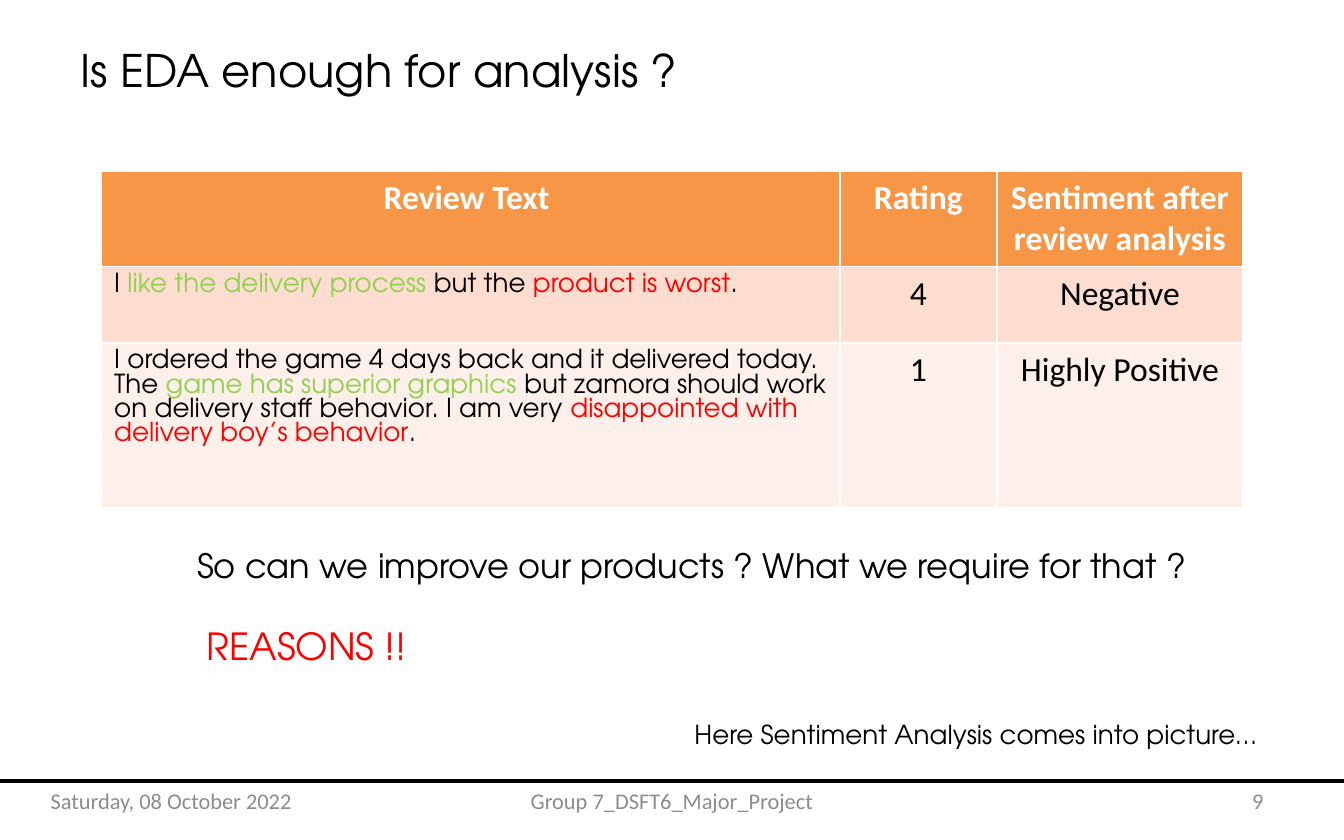
"""Build the slide asking whether EDA alone is enough for review analysis."""
from dataclasses import dataclass
from typing import Optional

from pptx import Presentation
from pptx.dml.color import RGBColor
from pptx.enum import shapes, text
from pptx.util import Pt

LEFT, CENTER, RIGHT = text.PP_ALIGN.LEFT, text.PP_ALIGN.CENTER, text.PP_ALIGN.RIGHT


@dataclass(frozen=True)
class Theme:
    display: str = "TeX Gyre Adventor"
    plain: str = "Calibri"
    black: str = "000000"
    white: str = "FFFFFF"
    grey: str = "8C8C8C"
    praise: str = "92D050"
    complaint: str = "FF0000"
    header_fill: str = "F79646"
    row_fills: tuple = ("FCDDCF", "FDEFE9")
    title: float = 24
    reasons: float = 20
    large: float = 18
    review: float = 14
    footer: float = 12
    review_leading: float = 13


THEME = Theme()


@dataclass(frozen=True)
class Style:
    size: float
    font: str = THEME.display
    color: str = THEME.black
    align: Optional[text.PP_ALIGN] = LEFT
    bold: bool = False


@dataclass(frozen=True)
class Span:
    text: str
    color: str = THEME.black


@dataclass(frozen=True)
class Label:
    text: str
    left: float
    top: float
    width: float
    height: float
    style: Style


@dataclass(frozen=True)
class Review:
    spans: tuple
    rating: str
    sentiment: str
    align: text.PP_ALIGN


TITLE = Label("Is EDA enough for analysis ?", 36, 5, 653, 65, Style(THEME.title))
FOOTER = {"size": THEME.footer, "font": THEME.plain, "color": THEME.grey}
LABELS = (
    Label("So can we improve our products ? What we require for that ?",
          98.6, 270, 653, 65, Style(THEME.large)),
    Label("Here Sentiment Analysis comes into picture…",
          365, 360.7, 653, 65, Style(THEME.review)),
    Label("REASONS !!", 103.7, 313.2, 653, 65, Style(THEME.reasons, color=THEME.complaint)),
    Label("Saturday, 08 October 2022", 20, 417, 184, 24, Style(**FOOTER)),
    Label("Group 7_DSFT6_Major_Project", 246, 417, 228, 24, Style(**FOOTER, align=CENTER)),
    Label("9", 516, 417, 168, 24, Style(**FOOTER, align=RIGHT)),
)
HEADINGS = ("Review Text ", "Rating", "Sentiment after review analysis ")
REVIEWS = (
    Review((Span("I "), Span("like the delivery process ", THEME.praise), Span("but the "),
            Span("product is worst", THEME.complaint), Span(". ")),
           "4", "Negative", text.PP_ALIGN.JUSTIFY),
    Review((Span("I ordered the game 4 days back and it delivered today. The "),
            Span("game has superior graphics", THEME.praise),
            Span(" but zamora should work on delivery staff behavior. I am very "),
            Span("disappointed with delivery boy’s behavior", THEME.complaint), Span(".")),
           "1", "Highly Positive", LEFT),
)
COLUMN_WIDTHS = (396, 84, 132)
ROW_HEIGHTS = (51, 41, 88.5)


def format_run(run, style: Style, color: str) -> None:
    """Apply a text style and colour to one run."""
    run.font.name = style.font
    run.font.size = Pt(style.size)
    run.font.bold = style.bold
    run.font.color.rgb = RGBColor.from_string(color)


def write(frame, content: str, style: Style) -> None:
    """Fill a text frame with one uniformly styled paragraph."""
    frame.text = content
    para = frame.paragraphs[0]
    para.alignment = style.align
    format_run(para.runs[0], style, style.color)


def place_label(box, label: Label) -> None:
    """Position a text shape and fill it."""
    box.left, box.top = Pt(label.left), Pt(label.top)
    box.width, box.height = Pt(label.width), Pt(label.height)
    frame = box.text_frame
    frame.word_wrap = True
    frame.auto_size = text.MSO_AUTO_SIZE.NONE
    frame.vertical_anchor = text.MSO_ANCHOR.MIDDLE
    write(frame, label.text, label.style)


def write_review(frame, review: Review) -> None:
    """Write a review with its praise and complaints coloured."""
    style = Style(THEME.review)
    para = frame.paragraphs[0]
    para.alignment = review.align
    para.line_spacing = Pt(THEME.review_leading)
    for span in review.spans:
        run = para.add_run()
        run.text = span.text
        format_run(run, style, span.color)


def add_review_table(page) -> None:
    """Add the table of reviews, ratings and sentiments."""
    table = page.shapes.add_table(
        len(ROW_HEIGHTS), len(COLUMN_WIDTHS), Pt(54), Pt(91.5),
        Pt(sum(COLUMN_WIDTHS)), Pt(sum(ROW_HEIGHTS))).table
    for column, width in zip(table.columns, COLUMN_WIDTHS):
        column.width = Pt(width)
    fills = (THEME.header_fill, *THEME.row_fills)
    for row, height, fill in zip(table.rows, ROW_HEIGHTS, fills):
        row.height = Pt(height)
        for cell in row.cells:
            cell.fill.solid()
            cell.fill.fore_color.rgb = RGBColor.from_string(fill)
    heading = Style(THEME.large, THEME.plain, THEME.white, CENTER, True)
    value = Style(THEME.large, THEME.plain, align=CENTER)
    for column, content in enumerate(HEADINGS):
        write(table.cell(0, column).text_frame, content, heading)
    for row, review in enumerate(REVIEWS, start=1):
        write_review(table.cell(row, 0).text_frame, review)
        write(table.cell(row, 1).text_frame, review.rating, value)
        write(table.cell(row, 2).text_frame, review.sentiment, value)


def add_footer_frame(page) -> None:
    """Add the outlined footer band that bleeds past the slide edges."""
    band = page.shapes.add_shape(
        shapes.MSO_SHAPE.RECTANGLE, Pt(-31), Pt(418.3), Pt(793.4), Pt(57))
    band.shadow.inherit = False
    band.fill.background()
    band.line.color.rgb = RGBColor.from_string(THEME.black)
    band.line.width = Pt(2)


def main() -> None:
    """Build and save the deck."""
    deck = Presentation()
    deck.slide_width, deck.slide_height = Pt(720), Pt(450)
    page = deck.slides.add_slide(deck.slide_layouts[5])
    add_footer_frame(page)
    place_label(page.shapes.title, TITLE)
    add_review_table(page)
    for label in LABELS:
        place_label(page.shapes.add_textbox(0, 0, 0, 0), label)
    deck.save("out.pptx")


if __name__ == "__main__":
    main()
